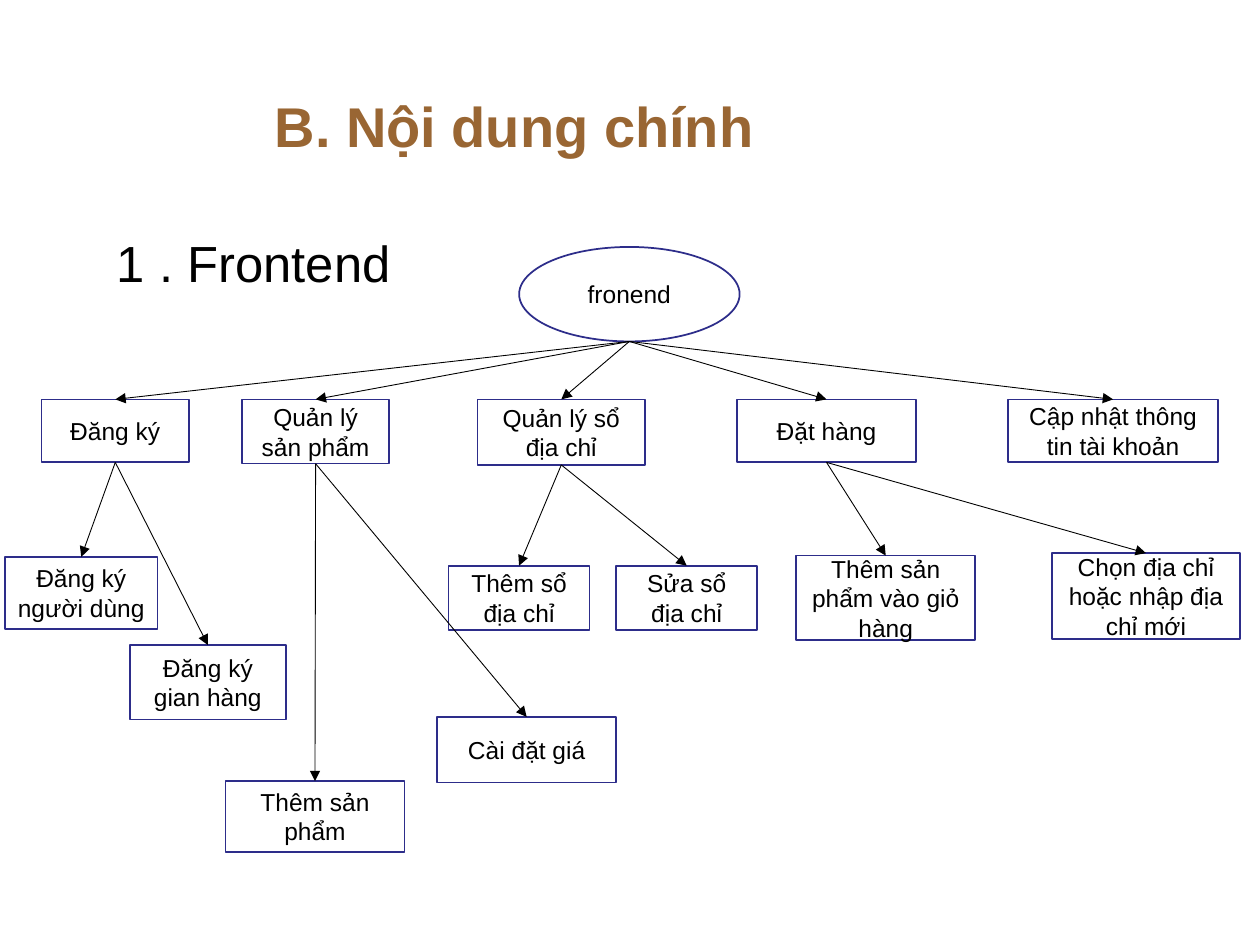
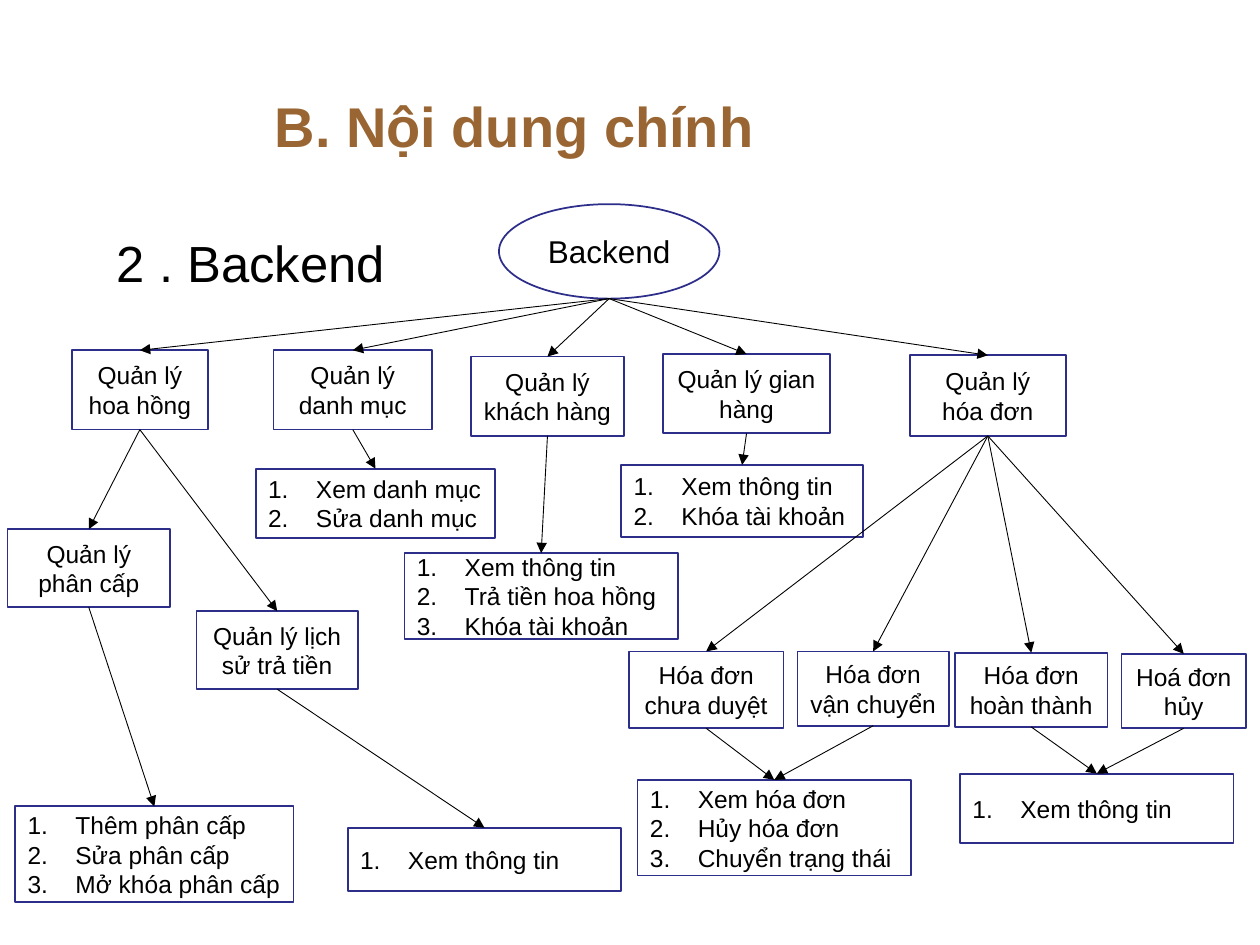
from dataclasses import dataclass

from lxml import etree
from pptx import Presentation
from pptx import util as u
from pptx.dml.color import RGBColor
from pptx.enum import shapes, text
from pptx.oxml.ns import qn

TITLE = "B. Nội dung chính"
COLUMNS = 1000
TITLE_AREA = (208, 48, 775, 103)
SECTION_AREA = (83, 179, 883, 71)

SECTIONS = [
    {
        "heading": "1 . Frontend",
        "root": ("fronend", (412, 196, 175, 75), 14),
        "nodes": {
            "register": ("Đăng ký", (33, 317, 117, 50)),
            "products": ("Quản lý sản phẩm", (192, 317, 117, 51)),
            "addresses": ("Quản lý sổ địa chỉ", (379, 317, 133, 52)),
            "order": ("Đặt hàng", (585, 317, 142, 50)),
            "account": ("Cập nhật thông tin tài khoản", (800, 317, 167, 50)),
            "register_shop": ("Đăng ký gian hàng", (103, 512, 124, 59)),
            "register_user": ("Đăng ký người dùng", (4, 442, 121, 57)),
            "add_to_cart": ("Thêm sản phẩm vào giỏ hàng", (632, 441, 142, 67)),
            "choose_address": ("Chọn địa chỉ hoặc nhập địa chỉ mới", (835, 439, 149, 68)),
            "add_product": ("Thêm sản phẩm", (179, 620, 142, 56)),
            "set_price": ("Cài đặt giá", (347, 569, 142, 52)),
            "add_address": ("Thêm sổ địa chỉ", (356, 449, 112, 51)),
            "edit_address": ("Sửa sổ địa chỉ", (489, 449, 112, 51)),
        },
        "links": {
            "root": ["register", "products", "addresses", "order", "account"],
            "register": ["register_user", "register_shop"],
            "products": ["add_product", "set_price"],
            "addresses": ["add_address", "edit_address"],
            "order": ["add_to_cart", "choose_address"],
        },
    },
    {
        "heading": "2 . Backend",
        "root": ("Backend", (396, 162, 175, 75), 18),
        "nodes": {
            "shops": ("Quản lý gian hàng", (526, 281, 133, 63)),
            "categories": ("Quản lý danh mục", (217, 278, 126, 63)),
            "invoices": ("Quản lý hóa đơn", (722, 282, 124, 64)),
            "commission": ("Quản lý hoa hồng", (57, 278, 108, 63)),
            "customers": ("Quản lý khách hàng", (374, 283, 121, 63)),
            "shop_tasks": (["Xem thông tin", "Khóa tài khoản"], (493, 369, 192, 57)),
            "customer_tasks": (
                ["Xem thông tin", "Trả tiền hoa hồng", "Khóa tài khoản"],
                (321, 439, 217, 68),
            ),
            "levels": ("Quản lý phân cấp", (6, 420, 129, 62)),
            "payments": ("Quản lý lịch sử trả tiền", (156, 485, 128, 62)),
            "pending": ("Hóa đơn chưa duyệt", (499, 517, 123, 61)),
            "shipping": ("Hóa đơn vận chuyển", (633, 517, 120, 59)),
            "completed": ("Hóa đơn hoàn thành", (758, 518, 121, 59)),
            "cancelled": ("Hoá đơn hủy", (890, 519, 99, 59)),
            "category_tasks": (["Xem danh mục", "Sửa danh mục"], (203, 372, 190, 55)),
            "level_tasks": (
                ["Thêm phân cấp", "Sửa phân cấp", "Mở khóa phân cấp"],
                (12, 640, 221, 76),
            ),
            "payment_tasks": (["Xem thông tin"], (276, 657, 217, 50)),
            "open_tasks": (
                ["Xem hóa đơn", "Hủy hóa đơn", "Chuyển trạng thái"],
                (506, 619, 217, 76),
            ),
            "closed_tasks": (["Xem thông tin"], (762, 614, 217, 55)),
        },
        "links": {
            "root": ["commission", "categories", "customers", "shops", "invoices"],
            "commission": ["levels", "payments"],
            "invoices": ["pending", "shipping", "completed", "cancelled"],
            "shops": ["shop_tasks"],
            "customers": ["customer_tasks"],
            "categories": ["category_tasks"],
            "levels": ["level_tasks"],
            "payments": ["payment_tasks"],
            "pending": ["open_tasks"],
            "shipping": ["open_tasks"],
            "completed": ["closed_tasks"],
            "cancelled": ["closed_tasks"],
        },
    },
]


@dataclass(frozen=True)
class Theme:
    font: str = "Arial"
    title: RGBColor = RGBColor(0x99, 0x66, 0x33)
    ink: RGBColor = RGBColor(0, 0, 0)
    paper: RGBColor = RGBColor(0xFF, 0xFF, 0xFF)
    border: RGBColor = RGBColor(0x2D, 0x2D, 0x8A)
    title_size: float = 32
    section_size: float = 29
    node_size: float = 14
    border_width: float = 1
    arrow_width: float = 0.5
    list_indent: float = 0.38


THEME = Theme()


def apply(target, values):
    for name, value in values.items():
        setattr(target, name, value)


def place(area, cell):
    return [int(length * cell) for length in area]


def write(box, lines, size, color=THEME.ink, bold=False,
          align=text.PP_ALIGN.LEFT, anchor=text.MSO_ANCHOR.MIDDLE):
    frame = box.text_frame
    frame.text = "\n".join(lines)
    apply(frame, {
        "word_wrap": True,
        "auto_size": text.MSO_AUTO_SIZE.NONE,
        "vertical_anchor": anchor,
    })
    for para in frame.paragraphs:
        para.alignment = align
        for span in para.runs:
            apply(span.font, {"name": THEME.font, "size": u.Pt(size), "bold": bold})
            span.font.color.rgb = color


def number(box):
    indent = u.Inches(THEME.list_indent)
    for para in box.text_frame.paragraphs:
        properties = para._p.get_or_add_pPr()
        properties.set("marL", str(indent))
        properties.set("indent", str(-indent))
        etree.SubElement(properties, qn("a:buAutoNum"), type="arabicPeriod")


def add_node(page, kind, content, area, size=THEME.node_size):
    box = page.shapes.add_shape(kind, *area)
    box.shadow.inherit = False
    box.fill.solid()
    box.fill.fore_color.rgb = THEME.paper
    box.line.color.rgb = THEME.border
    box.line.width = u.Pt(THEME.border_width)
    if isinstance(content, list):
        write(box, content, size)
        number(box)
    else:
        write(box, [content], size, align=text.PP_ALIGN.CENTER)
    return box


def add_arrow(page, parent, child):
    arrow = page.shapes.add_connector(
        shapes.MSO_CONNECTOR.STRAIGHT,
        parent.left + parent.width // 2, parent.top + parent.height,
        child.left + child.width // 2, child.top,
    )
    if parent.auto_shape_type == shapes.MSO_SHAPE.RECTANGLE:
        arrow.begin_connect(parent, 2)
    arrow.end_connect(child, 0)
    arrow.line.color.rgb = THEME.ink
    arrow.line.width = u.Pt(THEME.arrow_width)
    etree.SubElement(arrow.line._get_or_add_ln(), qn("a:tailEnd"), type="triangle")
    etree.SubElement(arrow._element.spPr, qn("a:effectLst"))


def add_section(deck, section):
    cell = deck.slide_width / COLUMNS
    page = deck.slides.add_slide(deck.slide_layouts.get_by_name("Title Only"))

    title = page.shapes.title
    apply(title, dict(zip(("left", "top", "width", "height"), place(TITLE_AREA, cell))))
    write(title, [TITLE], THEME.title_size, THEME.title, bold=True)

    heading = page.shapes.add_textbox(*place(SECTION_AREA, cell))
    write(heading, [section["heading"]], THEME.section_size, anchor=text.MSO_ANCHOR.TOP)
    heading.text_frame.paragraphs[0].space_before = u.Pt(4)

    label, area, size = section["root"]
    boxes = {"root": add_node(page, shapes.MSO_SHAPE.OVAL, label, place(area, cell), size)}
    for name, (content, area) in section["nodes"].items():
        boxes[name] = add_node(page, shapes.MSO_SHAPE.RECTANGLE, content, place(area, cell))
    for parent, children in section["links"].items():
        for child in children:
            add_arrow(page, boxes[parent], boxes[child])


def main():
    deck = Presentation()
    deck.slide_width, deck.slide_height = u.Inches(10), u.Inches(7.5)
    for section in SECTIONS:
        add_section(deck, section)
    deck.save("out.pptx")


if __name__ == "__main__":
    main()
